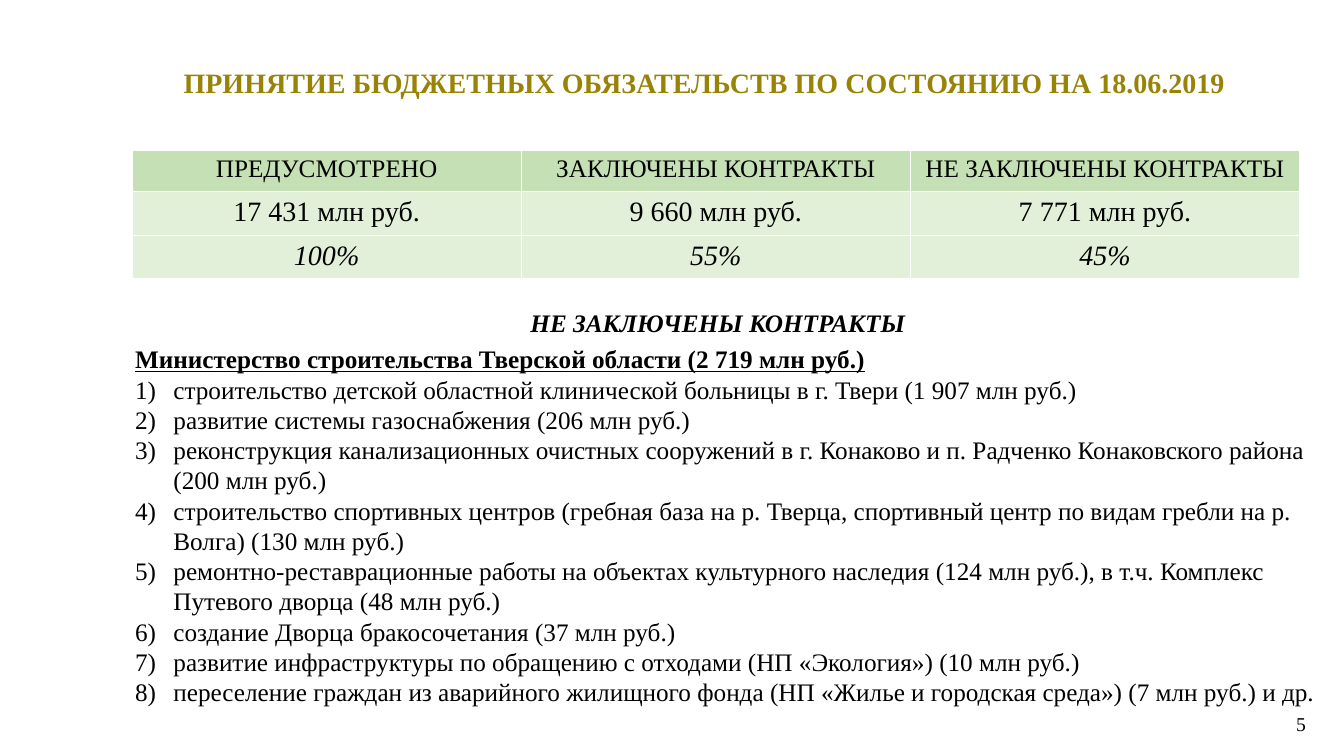
import pptx
import pptx.util
import pptx.dml.color
import pptx.enum.text
import pptx.oxml.ns
import lxml.etree

Inches = pptx.util.Inches
RGBColor = pptx.dml.color.RGBColor
ALIGN = pptx.enum.text.PP_ALIGN
ANCHOR = pptx.enum.text.MSO_ANCHOR
FIT = pptx.enum.text.MSO_AUTO_SIZE

GOLD = RGBColor(0x99, 0x83, 0x07)
BLACK = RGBColor(0, 0, 0)
GREEN = RGBColor(0xC5, 0xE0, 0xB4)
PALE = RGBColor(0xE2, 0xF0, 0xD9)
FACE = "Times New Roman"

SUMS = [
    ["ПРЕДУСМОТРЕНО", "ЗАКЛЮЧЕНЫ КОНТРАКТЫ", "НЕ ЗАКЛЮЧЕНЫ КОНТРАКТЫ"],
    ["17 431 млн руб.", "9 660 млн руб.", "7 771 млн руб."],
    ["100%", "55%", "45%"],
]
STYLES = [
    dict(fill=GREEN, size=18, italic=False),
    dict(fill=PALE, size=20, italic=False),
    dict(fill=PALE, size=20, italic=True),
]
HEAD = "Министерство строительства Тверской области (2 719 млн руб.)"
WORKS = [
    "строительство детской областной клинической больницы в г. Твери (1 907 млн руб.)",
    "развитие системы газоснабжения (206 млн руб.)",
    "реконструкция канализационных очистных сооружений в г. Конаково и п. Радченко "
    "Конаковского района (200 млн руб.)",
    "строительство спортивных центров (гребная база на р. Тверца, спортивный центр "
    "по видам гребли на р. Волга) (130 млн руб.)",
    "ремонтно-реставрационные работы на объектах культурного наследия (124 млн руб.), "
    "в т.ч. Комплекс Путевого дворца (48 млн руб.)",
    "создание Дворца бракосочетания (37 млн руб.)",
    "развитие инфраструктуры по обращению с отходами (НП «Экология») (10 млн руб.)",
    "переселение граждан из аварийного жилищного фонда (НП «Жилье и городская среда») "
    "(7 млн руб.) и др.",
]


def write(para, text, size=18, color=BLACK, bold=False, italic=False,
          under=False, align=ALIGN.LEFT):
    para.alignment = align
    run = para.add_run()
    run.text = text
    font = run.font
    font.name = FACE
    font.size = pptx.util.Pt(size)
    font.color.rgb = color
    font.bold = bold
    font.italic = italic
    font.underline = under


def place(shape, box):
    shape.left, shape.top, shape.width, shape.height = [Inches(n) for n in box]


def mark(para, count):
    props = para._p.get_or_add_pPr()
    dent = Inches(0.38) if count else 0
    props.set("marL", str(dent))
    props.set("indent", str(-dent))
    if count:
        lxml.etree.SubElement(props, pptx.oxml.ns.qn("a:buFontTx"))
        auto = lxml.etree.SubElement(props, pptx.oxml.ns.qn("a:buAutoNum"))
        auto.set("type", "arabicParenR")
    else:
        lxml.etree.SubElement(props, pptx.oxml.ns.qn("a:buNone"))
    para.space_before = pptx.util.Pt(0)


def add_title(slide, box):
    title = slide.shapes.title
    place(title, box)
    frame = title.text_frame
    frame.auto_size = FIT.NONE
    frame.vertical_anchor = ANCHOR.MIDDLE
    write(frame.paragraphs[0],
          "ПРИНЯТИЕ БЮДЖЕТНЫХ ОБЯЗАТЕЛЬСТВ ПО СОСТОЯНИЮ НА 18.06.2019",
          size=20, color=GOLD, bold=True, align=ALIGN.CENTER)


def add_sums(slide, box):
    grid = slide.shapes.add_table(len(SUMS), len(SUMS[0]),
                                  *[Inches(n) for n in box]).table
    for row, texts, style in zip(grid.rows, SUMS, STYLES):
        for cell, text in zip(row.cells, texts):
            cell.fill.solid()
            cell.fill.fore_color.rgb = style["fill"]
            write(cell.text_frame.paragraphs[0], text, size=style["size"],
                  italic=style["italic"], align=ALIGN.CENTER)


def add_works(slide, box):
    body = slide.placeholders[1]
    place(body, box)
    frame = body.text_frame
    frame.auto_size = FIT.NONE
    frame.vertical_anchor = ANCHOR.TOP
    first = frame.paragraphs[0]
    mark(first, False)
    write(first, HEAD, bold=True, under=True)
    for work in WORKS:
        para = frame.add_paragraph()
        mark(para, True)
        write(para, work)


def add_label(slide, box, text, anchor=ANCHOR.TOP, **style):
    frame = slide.shapes.add_textbox(*[Inches(n) for n in box]).text_frame
    frame.word_wrap = True
    frame.vertical_anchor = anchor
    write(frame.paragraphs[0], text, **style)


def main():
    deck = pptx.Presentation()
    deck.slide_width = Inches(13.33)
    deck.slide_height = Inches(7.5)
    slide = deck.slides.add_slide(deck.slide_layouts[1])
    add_title(slide, (0.88, 0.23, 12.21, 1.17))
    add_label(slide, (10.05, 6.98, 3, 0.4), "5", anchor=ANCHOR.MIDDLE,
              size=14, align=ALIGN.RIGHT)
    add_sums(slide, (1.31, 1.49, 11.58, 1.23))
    add_works(slide, (1.24, 3.36, 12.07, 3.74))
    add_label(slide, (5.14, 3, 3.96, 0.4), "НЕ ЗАКЛЮЧЕНЫ КОНТРАКТЫ",
              bold=True, italic=True, align=ALIGN.CENTER)
    deck.save("out.pptx")


if __name__ == "__main__":
    main()
